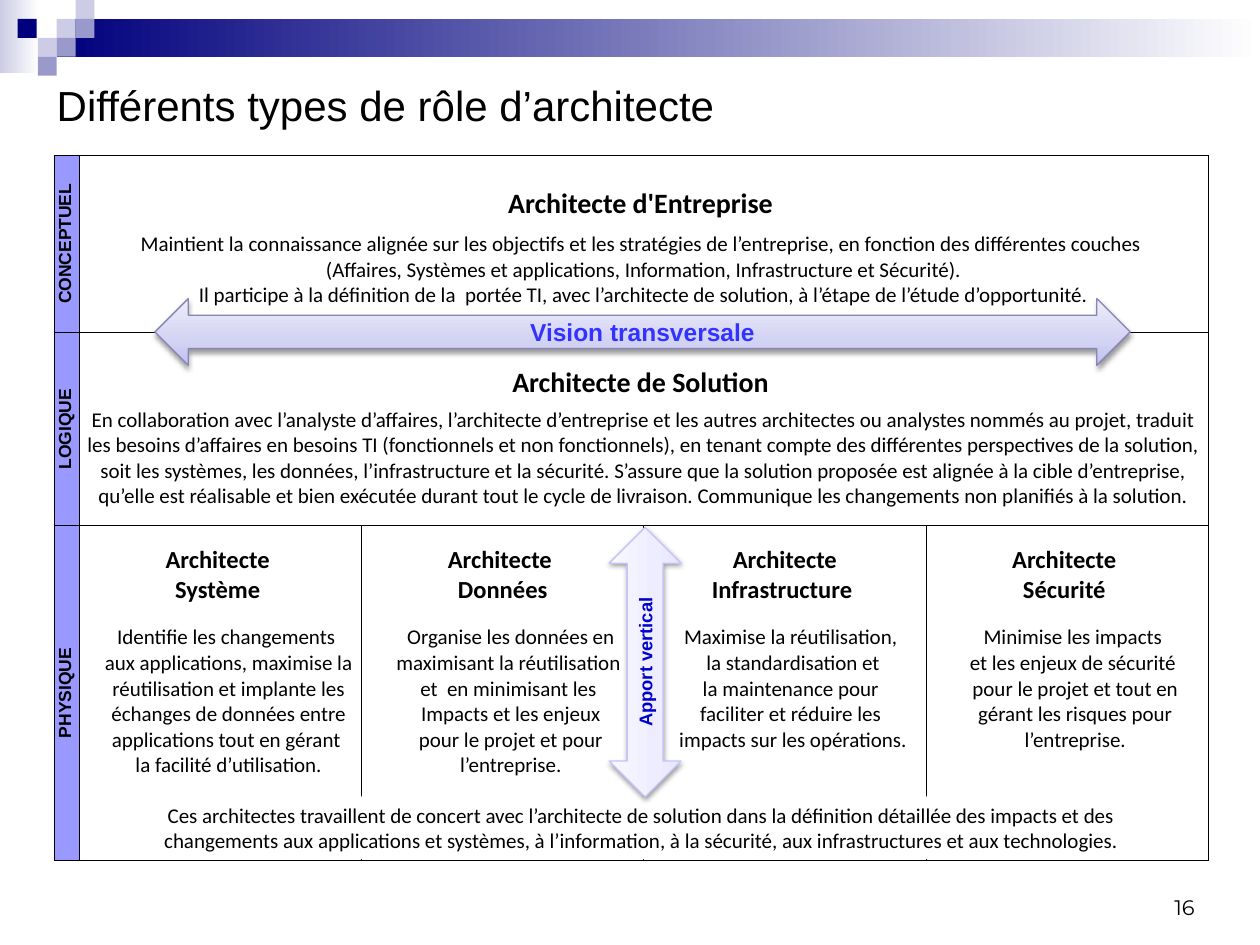
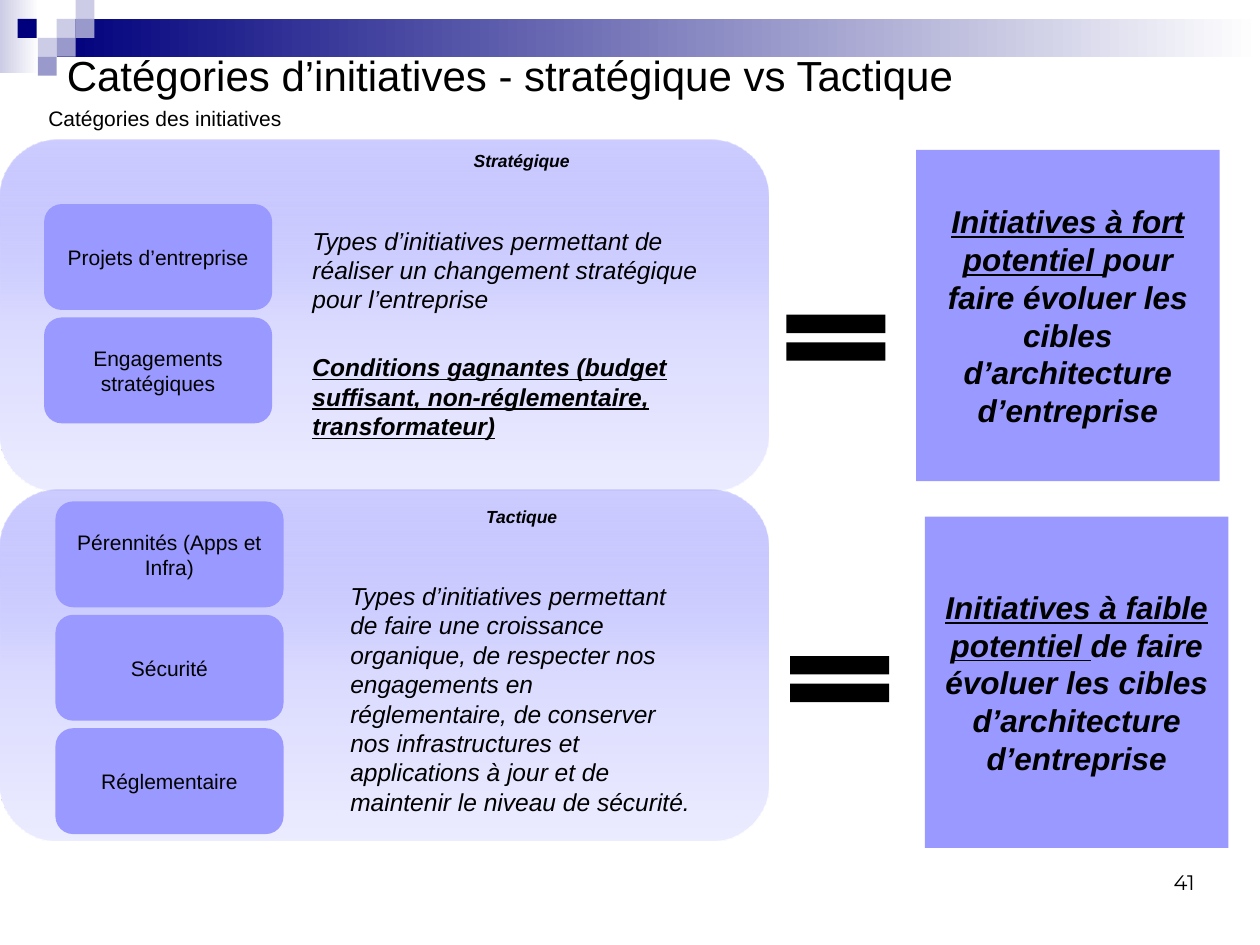
from lxml import etree
from pptx import Presentation
from pptx.dml.color import RGBColor
from pptx.enum.shapes import MSO_SHAPE
from pptx.enum.text import MSO_ANCHOR, MSO_AUTO_SIZE, PP_ALIGN
from pptx.oxml.ns import qn
from pptx.util import Inches, Pt

RECT, ROUND = MSO_SHAPE.RECTANGLE, MSO_SHAPE.ROUNDED_RECTANGLE
ARROW, EQUAL = MSO_SHAPE.LEFT_RIGHT_ARROW, MSO_SHAPE.MATH_EQUAL
LEFT, MID, RIGHT = PP_ALIGN.LEFT, PP_ALIGN.CENTER, PP_ALIGN.RIGHT
TOP, CENTRE, BOTTOM = MSO_ANCHOR.TOP, MSO_ANCHOR.MIDDLE, MSO_ANCHOR.BOTTOM

BLACK = RGBColor(0, 0, 0)
WHITE = RGBColor(0xFF, 0xFF, 0xFF)
NAVY = RGBColor(0, 0, 0x7D)
PALE = RGBColor(0xCC, 0xCC, 0xE6)
SLATE = RGBColor(0x99, 0x99, 0xCC)
LILAC = RGBColor(0x99, 0x99, 0xFF)
BLUE = RGBColor(0x33, 0x33, 0xFF)
ROYAL = RGBColor(0, 0, 0xCC)
EDGE = RGBColor(0x86, 0x86, 0xB6)
SOFT = RGBColor(0xC4, 0xC4, 0xFB)

# Gradient stops: position, colour, opacity (percent)
PANEL = [(0, LILAC, 49), (50, RGBColor(0xD9, 0xD9, 0xFF), 100),
         (100, RGBColor(0xEC, 0xEC, 0xFF), 100)]
WIDE = [(0, RGBColor(0xBF, 0xBF, 0xF0), 100), (35, RGBColor(0xD2, 0xD2, 0xF3), 100),
        (100, RGBColor(0xED, 0xED, 0xFB), 100)]
TALL = [(0, RGBColor(0xE6, 0xE6, 0xFF), 100), (35, RGBColor(0xED, 0xED, 0xFF), 100),
        (100, RGBColor(0xF8, 0xF8, 0xFF), 100)]


# Shared helpers
def style(para, size, colour=BLACK, face="Arial", bold=False, slant=False, align=MID):
    para.alignment = align
    for run in para.runs:
        font = run.font
        font.size, font.name = Pt(size), face
        font.bold, font.italic = bold, slant
        font.color.rgb = colour


def write(frame, text, size, **look):
    frame.text = text
    for para in frame.paragraphs:
        style(para, size, **look)


def inset(part, left, top, right, low):
    part.margin_left, part.margin_top = Inches(left), Inches(top)
    part.margin_right, part.margin_bottom = Inches(right), Inches(low)


def shade(shape, stops, angle):
    shape.fill.gradient()
    grad = shape.element.spPr.find(qn("a:gradFill"))
    grad.find(qn("a:lin")).set("ang", str(angle * 60000))
    array = grad.find(qn("a:gsLst"))
    for old in list(array):
        array.remove(old)
    for pos, colour, alpha in stops:
        stop = etree.SubElement(array, qn("a:gs"), pos=str(pos * 1000))
        tint = etree.SubElement(stop, qn("a:srgbClr"), val=str(colour))
        if alpha < 100:
            etree.SubElement(tint, qn("a:alpha"), val=str(alpha * 1000))


def draw(slide, kind, x, y, w, h, fill, angle=0):
    shape = slide.shapes.add_shape(kind, Inches(x), Inches(y), Inches(w), Inches(h))
    shape.shadow.inherit = False
    shape.line.fill.background()
    if isinstance(fill, list):
        shade(shape, fill, angle)
    else:
        shape.fill.solid()
        shape.fill.fore_color.rgb = fill
    return shape


def label(slide, x, y, w, h, text, size, **look):
    frame = slide.shapes.add_textbox(Inches(x), Inches(y), Inches(w), Inches(h)).text_frame
    frame.word_wrap = True
    inset(frame, 0, 0, 0, 0)
    write(frame, text, size, **look)
    return frame


# Band, title and page number on every slide
def start(deck, title, box, page, low):
    slide = deck.slides.add_slide(deck.slide_layouts[5])
    draw(slide, RECT, 0, 0, 0.31, 0.58, [(0, PALE, 100), (100, WHITE, 100)])
    draw(slide, RECT, 0.45, 0.15, 9.55, 0.3, [(0, NAVY, 100), (100, WHITE, 100)])
    for x, y, colour in [(0.45, 0.15, PALE), (0.6, 0, PALE), (0.6, 0.15, SLATE),
                         (0.3, 0.3, PALE), (0.14, 0.15, NAVY), (0.45, 0.3, SLATE),
                         (0.3, 0.45, SLATE)]:
        draw(slide, RECT, x, y, 0.15, 0.15, colour)
    head = slide.shapes.title
    head.left, head.top, head.width, head.height = (Inches(n) for n in box)
    frame = head.text_frame
    frame.auto_size = MSO_AUTO_SIZE.NONE
    frame.vertical_anchor = CENTRE
    write(frame, title, 24, align=LEFT)
    foot = label(slide, 8.88, low, 0.7, 0.18, page, 12, face="Montserrat", align=RIGHT)
    inset(foot, 0.1, 0.05, 0.1, 0.05)
    foot.vertical_anchor = BOTTOM
    return slide


# Table of roles
LEVELS = ["CONCEPTUEL", "LOGIQUE", "PHYSIQUE"]
LEADS = [
    ("Architecte d'Entreprise ", 0.06, 6,
     "Maintient la connaissance alignée sur les objectifs et les stratégies de l’entreprise, "
     "en fonction des différentes couches \v(Affaires, Systèmes et applications, Information, "
     "Infrastructure et Sécurité).\nIl participe à la définition de la  portée TI, avec "
     "l’architecte de solution, à l’étape de l’étude d’opportunité."),
    ("Architecte de Solution ", 0.14, 4,
     "En collaboration avec l’analyste d’affaires, l’architecte d’entreprise et les autres "
     "architectes ou analystes nommés au projet, traduit les besoins d’affaires en besoins TI "
     "(fonctionnels et non fonctionnels), en tenant compte des différentes perspectives de la "
     "solution, soit les systèmes, les données, l’infrastructure et la sécurité. S’assure que "
     "la solution proposée est alignée à la cible d’entreprise, qu’elle est réalisable et bien "
     "exécutée durant tout le cycle de livraison. Communique les changements non planifiés à "
     "la solution."),
]
ROLES = [
    ("Architecte \vSystème ",
     "Identifie les changements \naux applications, maximise la réutilisation et implante les "
     "échanges de données entre applications tout en gérant \nla facilité d’utilisation."),
    ("Architecte \vDonnées",
     "Organise les données en maximisant la réutilisation \net  en minimisant les \n"
     "Impacts et les enjeux\npour le projet et pour l’entreprise."),
    ("Architecte\nInfrastructure ",
     "Maximise la réutilisation, \nla standardisation et\nla maintenance pour \n"
     "faciliter et réduire les \nimpacts sur les opérations."),
    ("Architecte \vSécurité ",
     "Minimise les impacts \net les enjeux de sécurité \n"
     "pour le projet et tout en gérant les risques pour l’entreprise."),
]


def rule(cell, hide):
    props = cell._tc.get_or_add_tcPr()
    for spot, side in enumerate("LRTB"):
        line = etree.Element(qn("a:ln" + side), w=str(Pt(0.5)))
        if side == hide:
            etree.SubElement(line, qn("a:noFill"))
        else:
            solid = etree.SubElement(line, qn("a:solidFill"))
            etree.SubElement(solid, qn("a:srgbClr"), val=str(BLACK))
        props.insert(spot, line)


def roles(slide, x, y):
    cols, rows = [0.2] + [2.24] * 4, [1.41, 1.53, 0.78, 1.88]
    table = slide.shapes.add_table(4, 5, Inches(x), Inches(y), Inches(sum(cols)),
                                   Inches(sum(rows))).table
    table.first_row = table.horz_banding = False
    for col, wide in zip(table.columns, cols):
        col.width = Inches(wide)
    for row, high in zip(table.rows, rows):
        row.height = Inches(high)
    for r in range(4):
        for c in range(5):
            cell = table.cell(r, c)
            cell.fill.solid()
            cell.fill.fore_color.rgb = WHITE if c else LILAC
            rule(cell, {2: "B", 3: "T"}.get(r) if c else None)
            cell.vertical_anchor = CENTRE
            inset(cell, 0.01, 0.01, 0.01, 0)
    for r, level in enumerate(LEVELS):
        cell = table.cell(r, 0)
        write(cell.text_frame, level, 10, bold=True)
        cell._tc.get_or_add_tcPr().set("vert", "vert270")
    table.cell(2, 0).merge(table.cell(3, 0))
    for r, (head, top, gap, body) in enumerate(LEADS):
        cell = table.cell(r, 1)
        cell.merge(table.cell(r, 4))
        cell.margin_top = Inches(top)
        write(cell.text_frame, head + "\n" + body, 12, face="Calibri")
        first = cell.text_frame.paragraphs[0]
        style(first, 16, face="Calibri", bold=True)
        first.space_after = Pt(gap)
    for c, (head, body) in enumerate(ROLES, 1):
        write(table.cell(2, c).text_frame, head, 14, face="Calibri", bold=True)
        cell = table.cell(3, c)
        cell.vertical_anchor = TOP
        cell.margin_left = Inches(0.14)
        write(cell.text_frame, body, 12, face="Calibri")


def arrow(slide, x, y, w, h, fill, edge, text, size, colour, turn=0):
    shape = draw(slide, ARROW, x, y, w, h, fill, 270)
    shape.rotation = turn
    shape.line.color.rgb = edge
    shape.line.width = Pt(0.75)
    effects = shape.element.spPr.find(qn("a:effectLst"))
    cast = etree.SubElement(effects, qn("a:outerShdw"), blurRad=str(Pt(3.1)),
                            dist=str(Pt(1.6)), dir="5400000", rotWithShape="0")
    tint = etree.SubElement(cast, qn("a:srgbClr"), val=str(BLACK))
    etree.SubElement(tint, qn("a:alpha"), val="38000")
    write(shape.text_frame, text, size, colour=colour, bold=True)


def types(deck):
    slide = start(deck, "Différents types de rôle d’architecte", (0.35, 0.36, 9, 0.95),
                  "16", 7.17)
    roles(slide, 0.43, 1.23)
    note = draw(slide, RECT, 0.77, 6.32, 8.68, 0.5, WHITE)
    note.text_frame.vertical_anchor = TOP
    write(note.text_frame,
          "Ces architectes travaillent de concert avec l’architecte de solution dans la "
          "définition détaillée des impacts et des \nchangements aux applications et systèmes, "
          "à l’information, à la sécurité, aux infrastructures et aux technologies. ",
          12, face="Calibri")
    arrow(slide, 1.23, 2.37, 7.74, 0.53, WIDE, EDGE, "Vision transversale", 14, BLUE)
    arrow(slide, 4.05, 4.97, 2.14, 0.57, TALL, SOFT, "Apport vertical", 10.5, ROYAL, 270)


# One category: panel, tags, text, equal sign and verdict
def group(slide, y, name, drop, tags, tag_at, text, text_at, same_at, sums, sum_at):
    draw(slide, ROUND, 0, y, 6.1, 2.78, PANEL, 90)
    for i, tag in enumerate(tags):
        shape = draw(slide, ROUND, tag_at[0], y + tag_at[1] + 0.9 * i, 1.81, 0.84, LILAC)
        write(shape.text_frame, tag, 12)
    label(slide, 2.48, y + drop, 3.32, 0.17, name, 10, bold=True, slant=True)
    left, top, wide, high = text_at
    frame = label(slide, left, y + top, wide, high, text, 14, slant=True, align=LEFT)
    for para in frame.paragraphs[1:]:
        para.space_before = Pt(22)
        for run in para.runs:
            run.font.bold = run.font.underline = True
    draw(slide, EQUAL, same_at[0], y + same_at[1], 1.07, 0.62, BLACK)
    box = draw(slide, RECT, sum_at[0], y + sum_at[1], 2.41, 2.63, LILAC)
    para = box.text_frame.paragraphs[0]
    for part in sums:
        para.add_run().text = part
    style(para, 18, bold=True, slant=True)
    para.runs[0].font.underline = True


def kinds(deck):
    slide = start(deck, "Catégories d’initiatives - stratégique vs Tactique",
                  (0.43, 0.43, 9.78, 0.32), "41", 6.97)
    label(slide, 0, 0.84, 2.62, 0.2, "Catégories des initiatives", 12)
    group(slide, 1.11, "Stratégique", 0.08,
          ["Projets d’entreprise", "Engagements stratégiques"], (0.35, 0.51),
          "Types d’initiatives permettant de réaliser un changement stratégique pour "
          "l’entreprise\nConditions gagnantes (budget suffisant, non-réglementaire, "
          "transformateur)", (2.48, 0.68, 3.32, 1.73), (6.1, 1.26),
          ["Initiatives à fort potentiel ",
           "pour faire évoluer les cibles d’architecture d’entreprise"], (7.27, 0.08))
    group(slide, 3.89, "Tactique", 0.13,
          ["Pérennités (Apps et Infra)", "Sécurité", "Réglementaire"], (0.44, 0.09),
          "Types d’initiatives permettant de faire une croissance organique, de respecter nos "
          "engagements en réglementaire, de conserver nos infrastructures et applications à "
          "jour et de maintenir le niveau de sécurité.", (2.78, 0.72, 2.72, 1.88), (6.13, 1.19),
          ["Initiatives à faible potentiel ",
           "de faire évoluer les cibles d’architecture d’entreprise"], (7.34, 0.21))


def main():
    deck = Presentation()
    deck.slide_width, deck.slide_height = Inches(10), Inches(7.5)
    types(deck)
    kinds(deck)
    deck.save("out.pptx")


if __name__ == "__main__":
    main()
